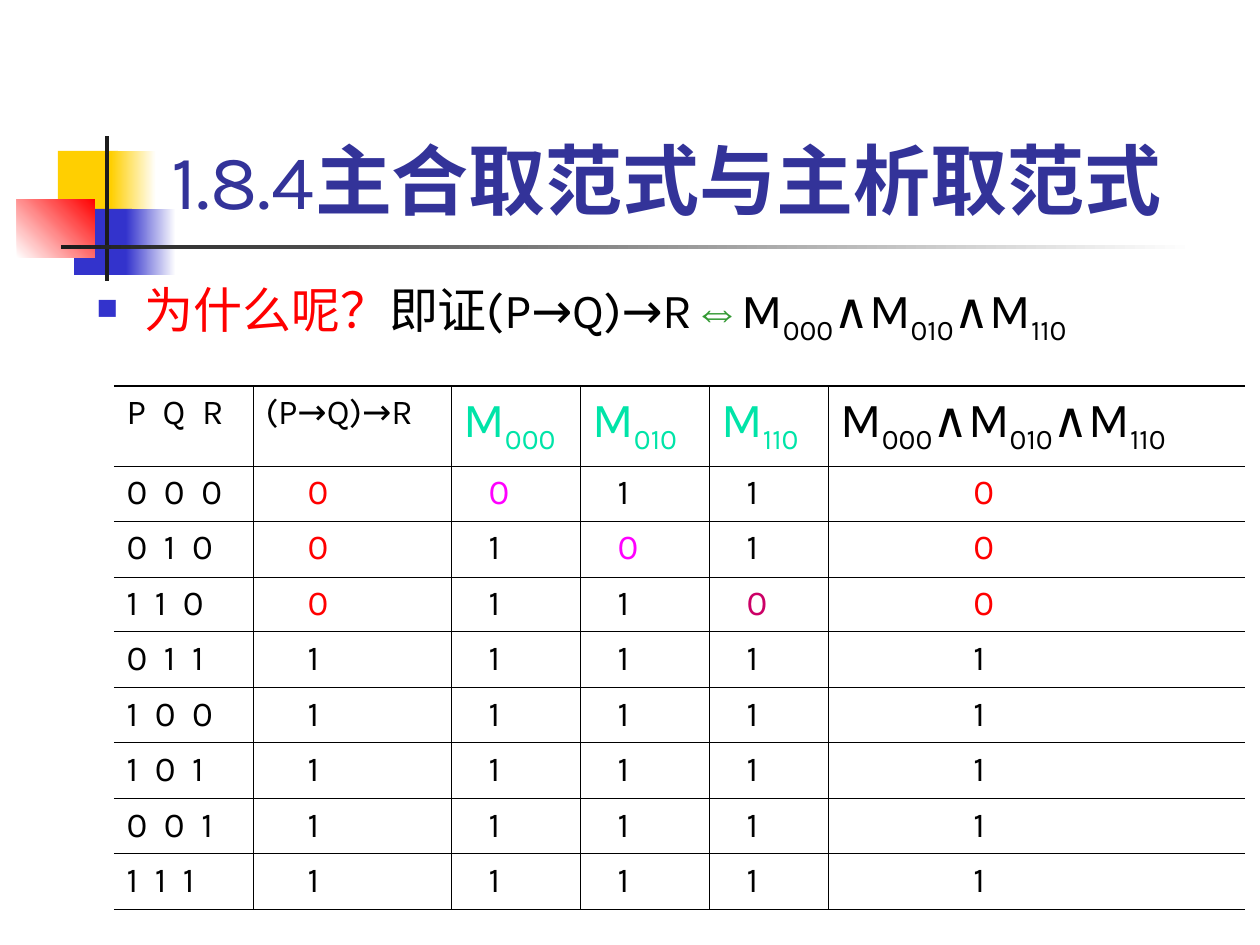
from dataclasses import dataclass
from itertools import accumulate

from lxml import etree
from pptx import Presentation
from pptx.dml.color import RGBColor
from pptx.enum.shapes import MSO_SHAPE
from pptx.enum.text import MSO_ANCHOR, MSO_AUTO_SIZE, PP_ALIGN
from pptx.oxml.ns import qn
from pptx.slide import Slide
from pptx.util import Emu, Pt

RECTANGLE = MSO_SHAPE.RECTANGLE
BOTTOM, TOP = MSO_ANCHOR.BOTTOM, MSO_ANCHOR.TOP
LEFT = PP_ALIGN.LEFT
NO_FIT = MSO_AUTO_SIZE.NONE
SCALE = 914400 / 126
COLORS = {
    "yellow": "FFCF01", "blue": "3333CC", "red": "FF0000", "white": "FFFFFF",
    "ink": "1C1C1C", "black": "000000", "navy": "333399", "green": "339933",
    "mint": "00E4A8", "magenta": "FF00FF", "crimson": "CC0066",
}


def px(length):
    return Emu(round(length * SCALE))


def rgb(name):
    return RGBColor.from_string(COLORS[name])


@dataclass
class Deck:
    slide: Slide
    font: str = "Karla"
    thin: float = 0.45
    thick: float = 1.08

    def add_runs(self, paragraph, pieces, size, before=0):
        paragraph.alignment = LEFT
        paragraph.space_before = Pt(before)
        for text, color, changes in pieces:
            run = paragraph.add_run()
            run.text = text
            values = {"name": self.font, "size": Pt(size), "bold": False}
            values.update(changes)
            properties = run._r.get_or_add_rPr()
            for attribute in ("baseline", "spc"):
                if attribute in values:
                    properties.set(attribute, str(values.pop(attribute)))
            for attribute, value in values.items():
                setattr(run.font, attribute, value)
            run.font.color.rgb = rgb(color)

    def block(self, box, start, end=None, angle=0):
        shape = self.slide.shapes.add_shape(RECTANGLE, *map(px, box))
        shape.shadow.inherit = False
        shape.line.fill.background()
        if end is None:
            shape.fill.solid()
            shape.fill.fore_color.rgb = rgb(start)
            return
        shape.fill.gradient()
        shape.fill.gradient_angle = angle
        for stop, color in zip(shape.fill.gradient_stops, (start, end)):
            stop.color.rgb = rgb(color)

    def frame(self, shape, anchor):
        frame = shape.text_frame
        settings = {"word_wrap": True, "auto_size": NO_FIT, "vertical_anchor": anchor}
        for attribute, value in settings.items():
            setattr(frame, attribute, value)
        return frame.paragraphs[0]

    def title(self, box, pieces, size):
        heading = self.slide.shapes.title
        heading.left, heading.top, heading.width, heading.height = map(px, box)
        heading.element.getparent().append(heading.element)
        self.add_runs(self.frame(heading, BOTTOM), pieces, size)

    def bullet(self, box, pieces, size, indent):
        body = self.slide.shapes.add_textbox(*map(px, box))
        paragraph = self.frame(body, TOP)
        self.add_runs(paragraph, pieces, size, 7)
        properties = paragraph._p.get_or_add_pPr()
        properties.set("marL", str(px(indent)))
        properties.set("indent", str(-px(indent)))
        color = etree.SubElement(properties, qn("a:buClr"))
        etree.SubElement(color, qn("a:srgbClr"), val=COLORS["blue"])
        etree.SubElement(properties, qn("a:buSzPct"), val="60000")
        etree.SubElement(properties, qn("a:buChar"), char="■")

    def border(self, cell, widths):
        properties = cell._tc.get_or_add_tcPr()
        for side, width in zip("LRTB", widths):
            line = etree.SubElement(properties, qn(f"a:ln{side}"), w=str(Pt(width)))
            if width:
                fill = etree.SubElement(line, qn("a:solidFill"))
                etree.SubElement(fill, qn("a:srgbClr"), val=COLORS["black"])
            else:
                etree.SubElement(line, qn("a:noFill"))

    def table(self, left, top, widths, heights, rows):
        box = map(px, (left, top, sum(widths), sum(heights)))
        table = self.slide.shapes.add_table(len(heights), len(widths), *box).table
        table.first_row = table.horz_banding = False
        for column, start, end in zip(table.columns, accumulate([0] + widths), accumulate(widths)):
            column.width = px(end) - px(start)
        for row, height in zip(table.rows, heights):
            row.height = px(height)
        last_row, last_column = len(heights) - 1, len(widths) - 1
        for r, row in enumerate(rows):
            for c, (pieces, size, before, indent) in enumerate(row):
                cell = table.cell(r, c)
                self.border(cell, (
                    self.thin if c else 0,
                    self.thin if c < last_column else 0,
                    self.thin if r else self.thick,
                    self.thin if r < last_row else self.thick,
                ))
                cell.fill.background()
                paragraph = cell.text_frame.paragraphs[0]
                self.add_runs(paragraph, pieces, size, before)
                paragraph._p.get_or_add_pPr().set("marL", str(px(indent)))


def maxterm(bits, color="black", prefix=""):
    return [(prefix + "M", color, {}), (bits, color, {"baseline": -25000})]


def conjunction(clauses):
    return [piece for i, bits in enumerate(clauses)
            for piece in maxterm(bits, prefix="∧" if i else "")]


def truth_rows(clauses):
    spaced = {"spc": 237}
    header = [([("P Q R", "black", spaced)], 20, 5, 0),
              ([("(P→Q)→R", "black", {})], 20, 5, 0)]
    header += [(maxterm(bits, "mint"), 28, 7, 0) for bits in clauses]
    header.append((conjunction(clauses), 28, 7, 0))
    yield header
    zero_colors = ("red", "magenta", "magenta", "crimson", "red")
    indents = (42, 25, 25, 25, 133)
    for bits in clauses + ["011", "100", "101", "001", "111"]:
        p, q, r = map(int, bits)
        implication = int(r or (p and not q))
        factors = [int(bits != clause) for clause in clauses]
        row = [([(" ".join(bits), "black", spaced)], 20, 5, 0)]
        for value, zero, indent in zip([implication, *factors, min(factors)], zero_colors, indents):
            row.append(([(str(value), "black" if value else zero, {})], 20, 5, indent))
        yield row


def main():
    presentation = Presentation()
    presentation.slide_width, presentation.slide_height = px(1260), px(945)
    deck = Deck(presentation.slides.add_slide(presentation.slide_layouts[5]))

    deck.block((58, 151, 60, 66), "yellow")
    deck.block((111, 151, 45, 66), "yellow", "white")
    deck.block((74, 209, 58, 66), "blue")
    deck.block((126, 209, 50, 66), "blue", "white")
    deck.block((17, 199, 78, 59), "white", "red", 45)
    deck.block((105, 136, 4, 145), "ink")
    deck.block((61, 245, 1134, 4), "ink", "white")

    deck.title((159, 29, 1074, 202), [
        ("1.8.4", "navy", {}),
        ("主合取范式与主析取范式", "navy", {"bold": True}),
    ], 44)

    clauses = ["000", "010", "110"]
    deck.bullet((84, 273, 1149, 670), [
        ("为什么呢？", "red", {}),
        ("即证(P→Q)→R", "black", {}),
        ("⇔", "green", {"name": "Arial"}),
        *conjunction(clauses),
    ], 28, 48)

    deck.table(114, 386, [139, 198, 129, 129, 119, 417], [80] + [55, 56] * 4,
               truth_rows(clauses))
    presentation.save("out.pptx")


if __name__ == "__main__":
    main()
